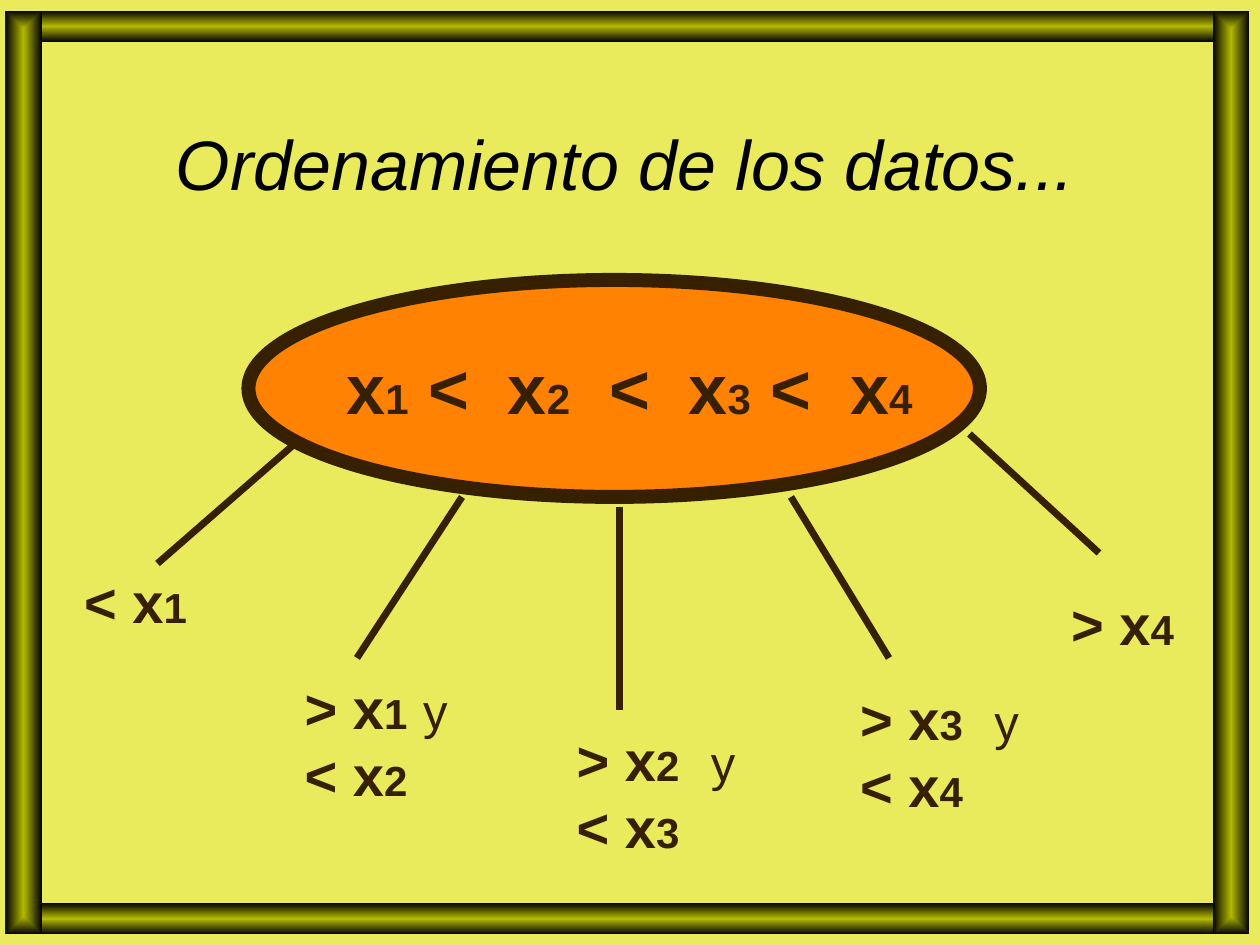
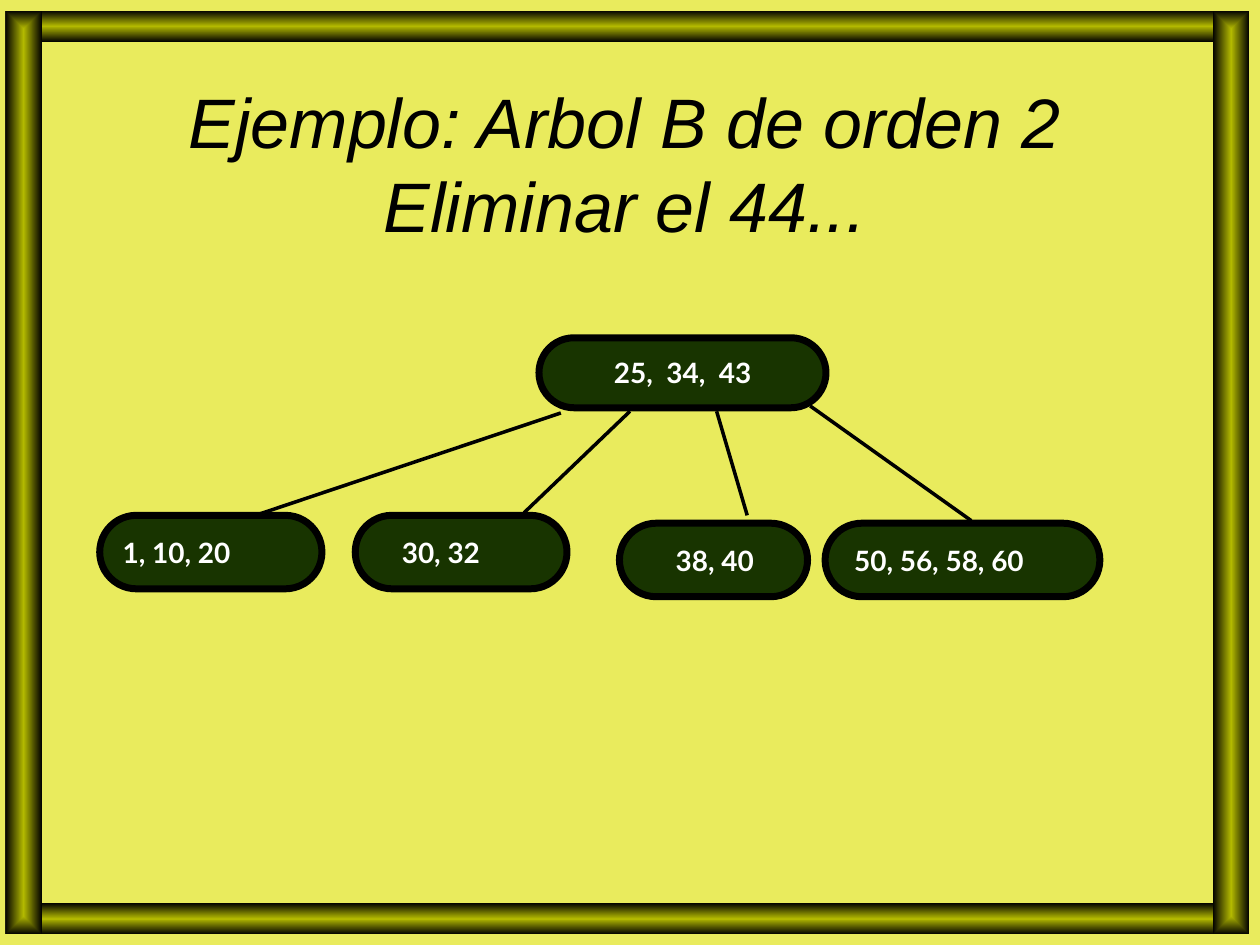
import itertools

import pptx
import pptx.dml.color
import pptx.enum.shapes
import pptx.enum.text
import pptx.oxml
import pptx.oxml.ns
import pptx.util

Pt = pptx.util.Pt
RGBColor = pptx.dml.color.RGBColor
Shape = pptx.enum.shapes.MSO_SHAPE
Anchor = pptx.enum.text.MSO_ANCHOR
Align = pptx.enum.text.PP_ALIGN

# Content; every box is (left, top, width, height) in points
ORDER_TITLE = "Ordenamiento de los datos..."
ORDER_KEYS = "x1 <  x2  <  x3 <  x4"
ORDER_BRANCHES = [  # lines of the label, its box, branch start, branch end
    (["< x1"], (41, 321, 73, 45), (168, 254), (90, 322)),
    (["> x1 y", "< x2"], (167, 381.5, 96, 83.5), (264, 284), (204, 376)),
    (["> x2  y", "< x3"], (322.5, 411, 105, 83.5), (354, 290), (354, 406)),
    (["> x3  y", "< x4"], (484.5, 387.5, 105, 83.5), (452, 284), (508, 376)),
    (["> x4"], (605, 333.5, 73, 45), (554, 248), (628, 316)),
]
TREE_TITLE = "Ejemplo: Arbol B de orden 2 Eliminar el 44..."
TREE_NODES = [  # keys, box, left inset of the text
    ("25,  34,  43", (308, 193, 164, 40), 37),
    ("1, 10, 20", (57, 294.5, 127, 42), 7),
    ("30, 32", (203, 294.5, 121, 42), 20.5),
    ("38, 40", (354, 299, 107.5, 42), 26),
    ("50, 56, 58, 60", (471.5, 299, 157, 42), 10.5),
]
TREE_BRANCHES = [
    ((320.5, 236), (144.5, 295)),
    ((360, 235), (299.5, 293)),
    ((409.5, 235), (427, 294.5)),
    ((463, 232), (555, 297.5)),
]

# Shared look
BACKGROUND = RGBColor(0xE9, 0xEB, 0x5D)
FRAME_CENTRE = RGBColor(0xB3, 0xB9, 0x00)
BLACK = RGBColor(0, 0, 0)
WHITE = RGBColor(0xFF, 0xFF, 0xFF)
BROWN = RGBColor(0x37, 0x20, 0x00)
ORANGE = RGBColor(0xFF, 0x82, 0x03)
DARK_GREEN = RGBColor(0x18, 0x34, 0x00)
FRAME_BARS = [
    (6, 6, 708, 18),
    (6, 516, 708, 18),
    (3, 6, 21, 528),
    (693, 6, 21, 528),
]
TITLE_BOX = (24, 48, 666, 90)
SUBSCRIPT_SIZE = 24
CONJUNCTION_SIZE = 28


def points(values):
    return [Pt(value) for value in values]


def add_filled_shape(slide, kind, box, fill, line, line_width):
    shape = slide.shapes.add_shape(kind, *points(box))
    shape.shadow.inherit = False
    shape.fill.solid()
    shape.fill.fore_color.rgb = fill
    shape.line.color.rgb = line
    shape.line.width = Pt(line_width)
    return shape


def add_frame_bar(slide, box):
    """Add a bar that shades from its centre to black edges."""
    bar = slide.shapes.add_shape(Shape.RECTANGLE, *points(box))
    bar.shadow.inherit = False
    bar.line.fill.background()
    gradient = pptx.oxml.parse_xml(
        f'<a:gradFill {pptx.oxml.ns.nsdecls("a")} rotWithShape="1"><a:gsLst>'
        f'<a:gs pos="0"><a:srgbClr val="{FRAME_CENTRE}"/></a:gs>'
        f'<a:gs pos="100000"><a:srgbClr val="{BLACK}"/></a:gs></a:gsLst>'
        '<a:path path="rect"><a:fillToRect l="50000" t="50000" r="50000" b="50000"/>'
        "</a:path></a:gradFill>"
    )
    bar.element.spPr.find(pptx.oxml.ns.qn("a:prstGeom")).addnext(gradient)


def add_branch(slide, start, end, color, width):
    branch = slide.shapes.add_connector(
        pptx.enum.shapes.MSO_CONNECTOR.STRAIGHT, *points(start + end))
    branch.line.color.rgb = color
    branch.line.width = Pt(width)
    branch.element.spPr.append(
        pptx.oxml.parse_xml(f'<a:effectLst {pptx.oxml.ns.nsdecls("a")}/>'))


def set_font(paragraph, name, size, color):
    paragraph.font.name = name
    paragraph.font.size = Pt(size)
    paragraph.font.color.rgb = color


def add_key_text(slide, lines, box, size):
    """Write key comparisons: digits are small, the word "y" is light."""
    frame = slide.shapes.add_textbox(*points(box)).text_frame
    frame.word_wrap = False
    special_sizes = dict.fromkeys("1234", SUBSCRIPT_SIZE) | {"y": CONJUNCTION_SIZE}
    for number, line in enumerate(lines):
        paragraph = frame.add_paragraph() if number else frame.paragraphs[0]
        set_font(paragraph, "Arial", size, BROWN)
        paragraph.font.bold = True
        for run_size, letters in itertools.groupby(
                line, lambda letter: special_sizes.get(letter, size)):
            run = paragraph.add_run()
            run.text = "".join(letters)
            run.font.size = Pt(run_size)
            run.font.bold = run_size != CONJUNCTION_SIZE


def add_node(slide, keys, box, text_inset):
    node = add_filled_shape(slide, Shape.ROUNDED_RECTANGLE, box, DARK_GREEN, BLACK, 4)
    node.adjustments[0] = 0.5
    frame = node.text_frame
    frame.margin_left = Pt(text_inset)
    frame.margin_right = frame.margin_top = frame.margin_bottom = 0
    frame.vertical_anchor = Anchor.MIDDLE
    paragraph = frame.paragraphs[0]
    paragraph.text = keys
    paragraph.alignment = Align.LEFT
    set_font(paragraph, "Lato", 16, WHITE)
    paragraph.font.bold = True


def add_framed_slide(presentation, title):
    slide = presentation.slides.add_slide(presentation.slide_layouts[6])
    slide.background.fill.solid()
    slide.background.fill.fore_color.rgb = BACKGROUND
    for box in FRAME_BARS:
        add_frame_bar(slide, box)
    frame = slide.shapes.add_textbox(*points(TITLE_BOX)).text_frame
    frame.word_wrap = True
    frame.vertical_anchor = Anchor.MIDDLE
    paragraph = frame.paragraphs[0]
    paragraph.text = title
    paragraph.alignment = Align.CENTER
    set_font(paragraph, "Arial", 40, BLACK)
    paragraph.font.italic = True
    return slide


def build_order_slide(presentation):
    slide = add_framed_slide(presentation, ORDER_TITLE)
    add_filled_shape(slide, Shape.OVAL, (142, 160, 418, 124), ORANGE, BROWN, 8)
    add_key_text(slide, [ORDER_KEYS], (191, 193.5, 337.5, 55), 40)
    for lines, box, start, end in ORDER_BRANCHES:
        add_branch(slide, start, end, BROWN, 4)
        add_key_text(slide, lines, box, 32)


def build_tree_slide(presentation):
    slide = add_framed_slide(presentation, TREE_TITLE)
    for node in TREE_NODES:
        add_node(slide, *node)
    for start, end in TREE_BRANCHES:
        add_branch(slide, start, end, BLACK, 2)


def main():
    presentation = pptx.Presentation()
    presentation.slide_width, presentation.slide_height = Pt(720), Pt(540)
    build_order_slide(presentation)
    build_tree_slide(presentation)
    presentation.save("out.pptx")


if __name__ == "__main__":
    main()
